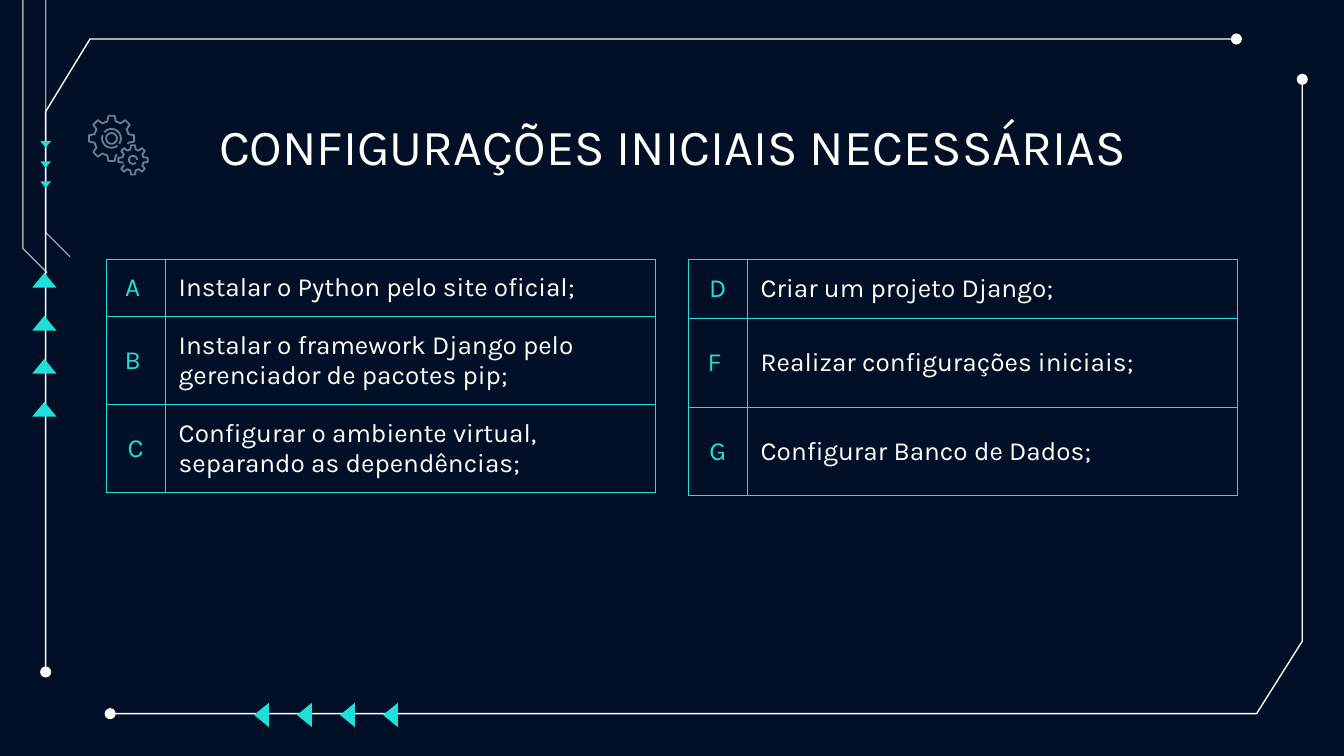
from math import cos, radians, sin

from lxml.etree import SubElement
from pptx import Presentation
from pptx.dml.color import RGBColor
from pptx.enum.text import MSO_ANCHOR, MSO_AUTO_SIZE, PP_ALIGN
from pptx.oxml import parse_xml
from pptx.oxml.ns import nsdecls, qn
from pptx.util import Inches, Pt

# Content
TITLE = "CONFIGURAÇÕES INICIAIS NECESSÁRIAS"
TABLES = [
    {"left": 0.79, "rows": [0.42, 0.65, 0.65], "steps": [
        ("A ", "Instalar o Python pelo site oficial;"),
        ("B ", "Instalar o framework Django pelo gerenciador de pacotes pip;"),
        ("C", "Configurar o ambiente virtual, separando as dependências;")]},
    {"left": 5.12, "rows": [0.44, 0.66, 0.66], "steps": [
        ("D", "Criar um projeto Django;"),
        ("F ", "Realizar configurações iniciais;"),
        ("G", "Configurar Banco de Dados;")]},
]
COLS = [0.44, 3.65]
TOP = 1.93

# Frames, rails (x, bend y) and arrow rows (first tip, gap, facing, length, half width)
FRAMES = [
    [(9.69, 0.59), (9.69, 4.77), (9.35, 5.31), (0.82, 5.31)],
    [(0.34, 5), (0.34, 0.83), (0.67, 0.29), (9.2, 0.29)],
]
RAILS = [(0.34, 1.73), (0.17, 1.85)]
ARROWS = [
    {"tip": (1.89, 5.32), "gap": (0.32, 0), "face": (-1, 0), "size": (0.11, 0.09), "count": 4},
    {"tip": (0.33, 2.03), "gap": (0, 0.32), "face": (0, -1), "size": (0.11, 0.09), "count": 4},
    {"tip": (0.34, 1.1), "gap": (0, 0.15), "face": (0, 1), "size": (0.05, 0.04), "count": 3},
]

# Gears (first tooth in degrees) and the arcs inside them
GEARS = [
    {"mid": (0.83, 1.03), "out": 0.17, "root": 0.13, "first": 90, "teeth": 7},
    {"mid": (0.99, 1.19), "out": 0.11, "root": 0.08, "first": 180, "teeth": 8},
]
ARCS = [
    ((0.83, 1.03), 0.07, 220, 395),
    ((0.83, 1.03), 0.07, 50, 200),
    ((0.83, 1.03), 0.04, 0, 360),
    ((0.99, 1.19), 0.03, 45, 360),
]

THEME = {
    "back": "011027", "text": "FFFFFF", "accent": "21DFD8", "icon": "657E93",
    "font": "Karla", "title": 27, "body": 14, "line": 0.75, "stroke": 1,
}


def color(name):
    return RGBColor.from_string(THEME[name])


def outline(slide, points, fill=None, line=None, width=THEME["line"], close=False):
    spots = [(Inches(x), Inches(y)) for x, y in points]
    pen = slide.shapes.build_freeform(*spots[0], scale=1.0)
    pen.add_line_segments(spots[1:], close=close)
    shape = pen.convert_to_shape()
    shape.shadow.inherit = False
    if fill:
        shape.fill.solid()
        shape.fill.fore_color.rgb = color(fill)
    else:
        shape.fill.background()
    if line:
        shape.line.color.rgb = color(line)
        shape.line.width = Pt(width)
    else:
        shape.line.fill.background()
    return shape


def polar(mid, size, angle):
    turn = radians(angle)
    return mid[0] + size * cos(turn), mid[1] + size * sin(turn)


def style(para, name, size):
    para.font.name = THEME["font"]
    para.font.size = Pt(THEME[size])
    para.font.color.rgb = color(name)


def border(cell):
    props = cell._tc.get_or_add_tcPr()
    for spot, side in enumerate(("lnL", "lnR", "lnT", "lnB")):
        props.insert(spot, parse_xml(
            f'<a:{side} {nsdecls("a")} w="{Pt(THEME["line"])}"><a:solidFill>'
            f'<a:srgbClr val="{THEME["accent"]}"/></a:solidFill></a:{side}>'))


def draw_frame(slide):
    for points in FRAMES:
        line = outline(slide, points, line="text").line._get_or_add_ln()
        for end in ("a:headEnd", "a:tailEnd"):
            SubElement(line, qn(end), type="oval")
    for x, bend in RAILS:
        points = [(x, 0), (x, bend), (x + 0.18, bend + 0.18)]
        rail = outline(slide, points, line="text")
        tint = rail.line._get_or_add_ln().find(".//" + qn("a:srgbClr"))
        SubElement(tint, qn("a:alpha"), val="61000")
    for row in ARROWS:
        dx, dy = row["face"]
        size, half = row["size"]
        for i in range(row["count"]):
            x, y = (start + i * gap for start, gap in zip(row["tip"], row["gap"]))
            bx, by = x - dx * size, y - dy * size
            outline(slide, [(x, y), (bx + dy * half, by + dx * half),
                            (bx - dy * half, by - dx * half)], fill="accent", close=True)


def draw_gears(slide):
    for gear in GEARS:
        shape = [(-19, "root"), (-14, "root"), (-8, "out"),
                 (8, "out"), (14, "root"), (19, "root")]
        points = [polar(gear["mid"], gear[ring], gear["first"] + 45 * i + turn)
                  for i in range(gear["teeth"]) for turn, ring in shape]
        outline(slide, points, line="icon", width=THEME["stroke"])
    for mid, size, start, end in ARCS:
        parts = 24
        points = [polar(mid, size, start + (end - start) * i / parts)
                  for i in range(parts + 1)]
        outline(slide, points, line="icon", width=THEME["stroke"])


def draw_title(slide):
    title = slide.shapes.title
    title.left, title.top = Inches(0.79), Inches(0.76)
    title.width, title.height = Inches(8.43), Inches(0.63)
    frame = title.text_frame
    frame.text = TITLE
    frame.word_wrap = True
    frame.auto_size = MSO_AUTO_SIZE.NONE
    frame.vertical_anchor = MSO_ANCHOR.TOP
    frame.margin_left = frame.margin_right = Inches(0.1)
    frame.margin_top = frame.margin_bottom = Inches(0.1)
    frame.paragraphs[0].alignment = PP_ALIGN.CENTER
    style(frame.paragraphs[0], "text", "title")


def draw_table(slide, data):
    table = slide.shapes.add_table(
        len(data["steps"]), len(COLS), Inches(data["left"]), Inches(TOP),
        Inches(sum(COLS)), Inches(sum(data["rows"]))).table
    table.first_row = table.horz_banding = False
    for col, width in zip(table.columns, COLS):
        col.width = Inches(width)
    for r, step in enumerate(data["steps"]):
        table.rows[r].height = Inches(data["rows"][r])
        for c, text in enumerate(step):
            cell = table.cell(r, c)
            cell.text_frame.text = text
            cell.vertical_anchor = MSO_ANCHOR.MIDDLE
            cell.margin_left = cell.margin_right = Inches(0.1)
            cell.margin_top = cell.margin_bottom = Inches(0.1)
            cell.fill.background()
            border(cell)
            para = cell.text_frame.paragraphs[0]
            para.alignment = PP_ALIGN.LEFT if c else PP_ALIGN.CENTER
            style(para, "text" if c else "accent", "body")


def main():
    deck = Presentation()
    # Widescreen, 16 to 9
    deck.slide_width = Inches(10)
    deck.slide_height = deck.slide_width * 9 // 16
    slide = deck.slides.add_slide(deck.slide_layouts[5])
    slide.background.fill.solid()
    slide.background.fill.fore_color.rgb = color("back")
    draw_frame(slide)
    draw_title(slide)
    for data in TABLES:
        draw_table(slide, data)
    draw_gears(slide)
    deck.save("out.pptx")


if __name__ == "__main__":
    main()
